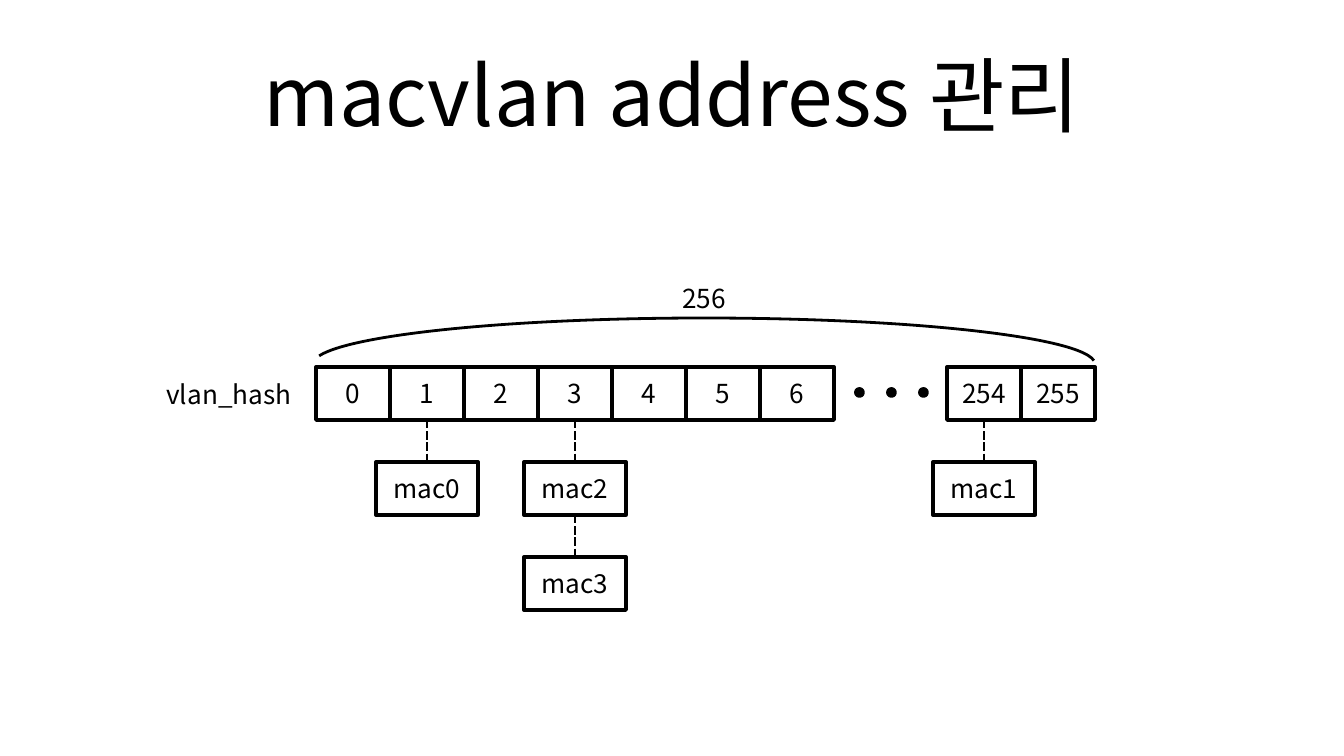
from lxml.etree import SubElement
from pptx import Presentation
from pptx.dml.color import RGBColor
from pptx.enum.dml import MSO_LINE
from pptx.enum.shapes import MSO_CONNECTOR, MSO_SHAPE
from pptx.enum.text import MSO_ANCHOR, PP_ALIGN
from pptx.oxml.ns import qn
from pptx.util import Emu, Pt

SCALE = 914400 / 134.4
COLORS = {"ink": "000000", "paper": "FFFFFF"}
FONT = "Noto Sans CJK KR"
CELL_W, CELL_H = 74, 53
MAC_W, STEP = 102, 95


def px(*sizes):
    return [Emu(round(size * SCALE)) for size in sizes]


def color(name):
    return RGBColor.from_string(COLORS[name])


def write(shape, text, size=14):
    frame = shape.text_frame
    form = {"word_wrap": True, "vertical_anchor": MSO_ANCHOR.MIDDLE,
            "margin_left": 0, "margin_right": 0,
            "margin_top": 0, "margin_bottom": 0}
    for key, value in form.items():
        setattr(frame, key, value)
    para = frame.paragraphs[0]
    para.alignment = PP_ALIGN.CENTER
    run = para.add_run()
    run.text = text
    for key, value in {"name": FONT, "size": Pt(size)}.items():
        setattr(run.font, key, value)
    run.font.color.rgb = color("ink")
    SubElement(run.font._element, qn("a:ea"), typeface=FONT)


def label(slide, box, text, size=14):
    write(slide.shapes.add_textbox(*px(*box)), text, size)


def shape(slide, kind, box, fill=None, width=2):
    item = slide.shapes.add_shape(kind, *px(*box))
    item.shadow.inherit = False
    if fill:
        item.fill.solid()
        item.fill.fore_color.rgb = color(fill)
    else:
        item.fill.background()
    item.line.color.rgb = color("ink")
    item.line.width = Pt(width)
    return item


def cell(slide, box, text):
    write(shape(slide, MSO_SHAPE.RECTANGLE, box, "paper"), text)


def row(slide, left, top, slots):
    """Draw touching hash cells, one for each slot number."""
    for i, slot in enumerate(slots):
        cell(slide, (left + i * CELL_W, top, CELL_W, CELL_H), str(slot))


def dots(slide, left, top, size=7, pitch=32):
    for i in range(3):
        shape(slide, MSO_SHAPE.OVAL, (left + i * pitch, top, size, size), "ink")


def span(slide, box, text):
    """Draw the arc over the whole table with its count above."""
    left, top, width, height = box
    arc = shape(slide, MSO_SHAPE.ARC, box, width=1.5)
    arc.adjustments[0] = 108.73
    arc.adjustments[1] = 215.7
    label(slide, (left + width // 2 - CELL_W // 2, top - 46, CELL_W, CELL_H), text)


def dash(slide, x, top, end):
    link = slide.shapes.add_connector(MSO_CONNECTOR.STRAIGHT, *px(x, top, x, end))
    form = {"width": Pt(1.5), "dash_style": MSO_LINE.SQUARE_DOT}
    for key, value in form.items():
        setattr(link.line, key, value)
    link.line.color.rgb = color("ink")
    SubElement(link._element.spPr, qn("a:effectLst"))


def chain(slide, left, top, names):
    """Hang linked entries below the hash cell at left, top."""
    mid = left + CELL_W // 2
    for i, name in enumerate(names):
        y = top + (i + 1) * STEP
        dash(slide, mid, y - STEP + CELL_H, y)
        cell(slide, (mid - MAC_W // 2, y, MAC_W, CELL_H), name)


def table(slide, left, top):
    tail = left + 631
    row(slide, left, top, range(7))
    dots(slide, left + 540, top + 22)
    row(slide, tail, top, (254, 255))
    span(slide, (left - 3, top - 49, 782, 92), "256")
    label(slide, (left - 163, top + 1, 152, CELL_H), "vlan_hash")
    chain(slide, left + CELL_W, top, ["mac0"])
    chain(slide, left + 3 * CELL_W, top, ["mac2", "mac3"])
    chain(slide, tail, top, ["mac1"])


def main():
    deck = Presentation()
    deck.slide_width, deck.slide_height = px(1344, 756)
    slide = deck.slides.add_slide(deck.slide_layouts[6])
    label(slide, (67, 31, 1210, 126), "macvlan address 관리", 44)
    table(slide, 316, 367)
    deck.save("out.pptx")


if __name__ == "__main__":
    main()
